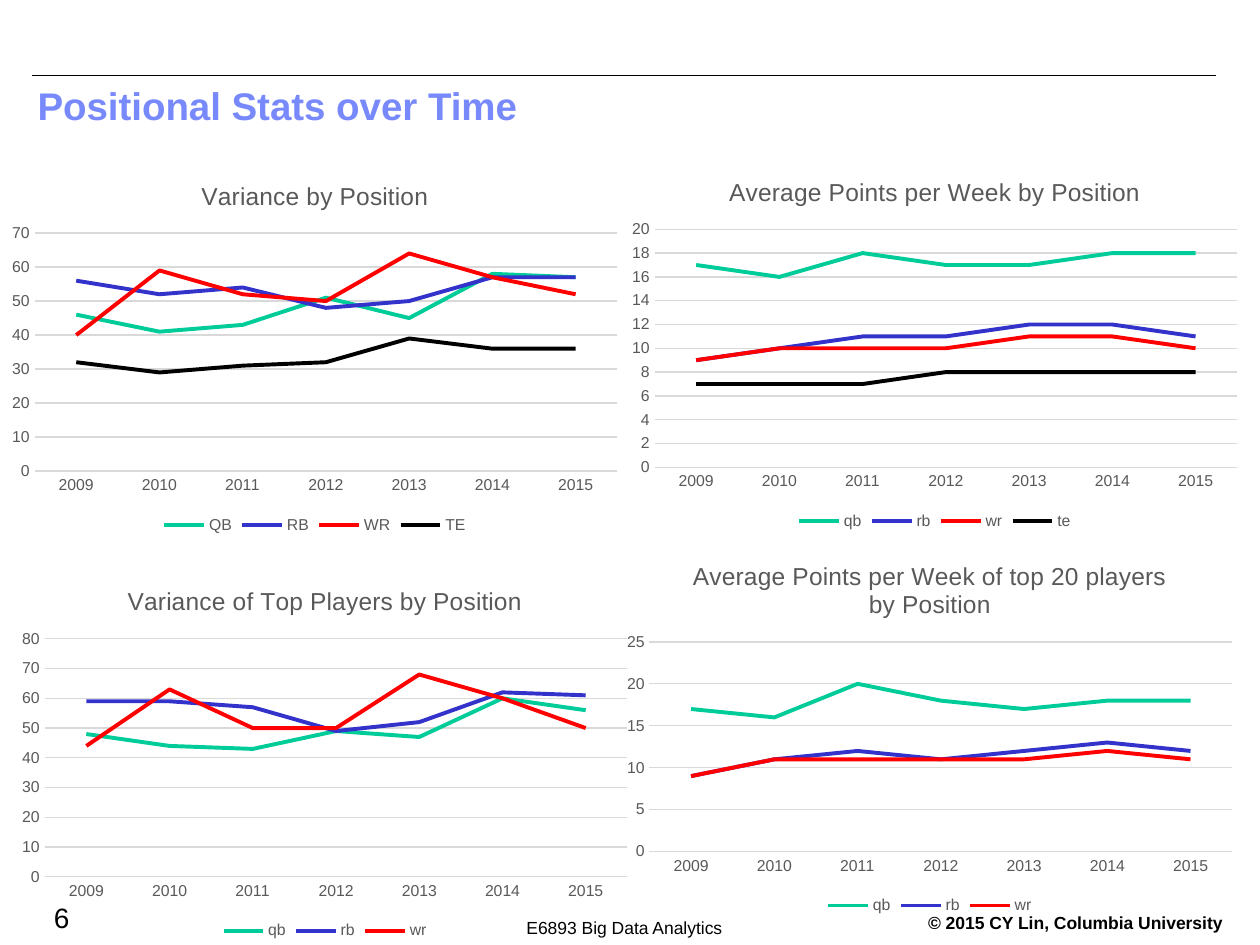
from dataclasses import dataclass

import pptx
import pptx.chart.data
import pptx.dml.color
import pptx.enum.chart
import pptx.enum.shapes
import pptx.enum.text
import pptx.oxml
import pptx.oxml.ns
import pptx.util

Inches, Pt = pptx.util.Inches, pptx.util.Pt
ALIGN = pptx.enum.text.PP_ALIGN
ANCHOR = pptx.enum.text.MSO_ANCHOR
TICK = pptx.enum.chart.XL_TICK_MARK

WIDTH, HEIGHT = 10, 7.5
FONT = "Arial"
COLORS = {
    "text": "000000", "title": "7889FB", "label": "595959", "grid": "D9D9D9",
    "qb": "00CC99", "rb": "3333CC", "wr": "FF0000", "te": "000000",
}
YEARS = [str(year) for year in range(2009, 2016)]
CHART_WIDTH, CHART_HEIGHT = WIDTH / 2, HEIGHT * 0.4
PLOT_LEFT, PLOT_RIGHT, PLOT_BOTTOM = 0.055, 0.98, 0.82


@dataclass
class Label:
    text: str
    left: float
    top: float
    width: float
    height: float
    size: float
    color: str = "text"
    bold: bool = False
    align: ALIGN = ALIGN.LEFT
    anchor: ANCHOR = ANCHOR.TOP
    wrap: bool = True
    spacing: float = 1.0


@dataclass
class LineChart:
    title: str
    left: float
    top: float
    maximum: int
    step: int
    series: dict[str, list[int]]
    plot_top: float = 0.19


LABELS = [
    Label("© 2015 CY Lin, Columbia University", 6.92, 7.19, 2.88, 0.31, 10,
          bold=True, align=ALIGN.RIGHT),
    Label("E6893 Big Data Analytics", 4.08, 7.23, 1.84, 0.27, 10, wrap=False),
    Label("Positional Stats over Time", 0.2, 0.65, 9.36, 0.41, 22, "title",
          bold=True, anchor=ANCHOR.MIDDLE, spacing=0.9),
    Label("6", 0.33, 7.1, 1.4, 0.4, 16),
]

CHARTS = [
    LineChart("Average Points per Week by Position", 4.92, 1.25, 20, 2, {
        "qb": [17, 16, 18, 17, 17, 18, 18],
        "rb": [9, 10, 11, 11, 12, 12, 11],
        "wr": [9, 10, 10, 10, 11, 11, 10],
        "te": [7, 7, 7, 8, 8, 8, 8],
    }),
    LineChart("Variance by Position", 0, 1.28, 70, 10, {
        "QB": [46, 41, 43, 51, 45, 58, 57],
        "RB": [56, 52, 54, 48, 50, 57, 57],
        "WR": [40, 59, 52, 50, 64, 57, 52],
        "TE": [32, 29, 31, 32, 39, 36, 36],
    }),
    LineChart("Variance of Top Players by Position", 0.08, 4.5, 80, 10, {
        "qb": [48, 44, 43, 49, 47, 60, 56],
        "rb": [59, 59, 57, 49, 52, 62, 61],
        "wr": [44, 63, 50, 50, 68, 60, 50],
    }),
    LineChart("Average Points per Week of top 20 players by Position",
              4.88, 4.3, 25, 5, {
                  "qb": [17, 16, 20, 18, 17, 18, 18],
                  "rb": [9, 11, 12, 11, 12, 13, 12],
                  "wr": [9, 11, 11, 11, 11, 12, 11],
              }, plot_top=0.265),
]


def rgb(name: str) -> pptx.dml.color.RGBColor:
    return pptx.dml.color.RGBColor.from_string(COLORS[name])


def set_all(obj, values: dict) -> None:
    for name, value in values.items():
        setattr(obj, name, value)


def set_font(font, size: float, color: str, bold: bool = False) -> None:
    set_all(font, {"name": FONT, "size": Pt(size), "bold": bold})
    font.color.rgb = rgb(color)


def set_line(line, color: str, width: float) -> None:
    line.color.rgb = rgb(color)
    line.width = Pt(width)


def add_label(slide, label: Label) -> None:
    box = (label.left, label.top, label.width, label.height)
    tf = slide.shapes.add_textbox(*map(Inches, box)).text_frame
    set_all(tf, {"word_wrap": label.wrap, "vertical_anchor": label.anchor})
    p = tf.paragraphs[0]
    set_all(p, {"alignment": label.align, "line_spacing": label.spacing})
    r = p.add_run()
    r.text = label.text
    set_font(r.font, label.size, label.color, label.bold)


def add_header_rule(slide) -> None:
    ends = map(Inches, (0.25, 0.6, 9.65, 0.6))
    rule = slide.shapes.add_connector(
        pptx.enum.shapes.MSO_CONNECTOR.STRAIGHT, *ends)
    set_line(rule.line, "text", 0.75)
    rule._element.spPr.append(pptx.oxml.parse_xml(
        f'<a:effectLst {pptx.oxml.ns.nsdecls("a")}/>'))


def place_plot(chart, top: float) -> None:
    """Fix the inner plot area, as shares of the chart's size."""
    plot_area = chart._chartSpace.chart.plotArea
    for old in plot_area.findall(pptx.oxml.ns.qn("c:layout")):
        plot_area.remove(old)
    shares = {"x": PLOT_LEFT, "y": top, "w": PLOT_RIGHT - PLOT_LEFT,
              "h": PLOT_BOTTOM - top}
    sizes = "".join(f'<c:{k} val="{v:.3f}"/>' for k, v in shares.items())
    plot_area.insert(0, pptx.oxml.parse_xml(
        f'<c:layout {pptx.oxml.ns.nsdecls("c")}><c:manualLayout>'
        '<c:layoutTarget val="inner"/><c:xMode val="edge"/>'
        f'<c:yMode val="edge"/>{sizes}</c:manualLayout></c:layout>'))


def add_line_chart(slide, item: LineChart) -> None:
    data = pptx.chart.data.CategoryChartData()
    data.categories = YEARS
    for name, values in item.series.items():
        data.add_series(name, values)
    box = (item.left, item.top, CHART_WIDTH, CHART_HEIGHT)
    chart = slide.shapes.add_chart(
        pptx.enum.chart.XL_CHART_TYPE.LINE, *map(Inches, box), data).chart
    set_font(chart.font, 10, "text")

    chart.has_title = True
    r = chart.chart_title.text_frame.paragraphs[0].add_run()
    r.text = item.title
    set_font(r.font, 14, "label")
    chart.chart_title.include_in_layout = False

    chart.has_legend = True
    set_all(chart.legend, {
        "position": pptx.enum.chart.XL_LEGEND_POSITION.BOTTOM,
        "include_in_layout": False})
    set_font(chart.legend.font, 9, "label")

    years, scale = chart.category_axis, chart.value_axis
    for axis in (years, scale):
        set_all(axis, {"major_tick_mark": TICK.NONE,
                       "minor_tick_mark": TICK.NONE})
        set_font(axis.tick_labels.font, 9, "label")
    set_line(years.format.line, "grid", 0.75)
    set_all(scale, {"minimum_scale": 0, "maximum_scale": item.maximum,
                    "major_unit": item.step, "has_major_gridlines": True})
    scale.format.line.fill.background()
    set_line(scale.major_gridlines.format.line, "grid", 0.75)

    plot = chart.plots[0]
    plot.vary_by_categories = False
    for series in plot.series:
        series.smooth = False
        series.marker.style = pptx.enum.chart.XL_MARKER_STYLE.NONE
        set_line(series.format.line, series.name.lower(), 2.25)
    place_plot(chart, item.plot_top)


def main() -> None:
    prs = pptx.Presentation()
    set_all(prs, {"slide_width": Inches(WIDTH), "slide_height": Inches(HEIGHT)})
    slide = prs.slides.add_slide(prs.slide_layouts[6])
    add_header_rule(slide)
    for label in LABELS:
        add_label(slide, label)
    for item in CHARTS:
        add_line_chart(slide, item)
    prs.save("out.pptx")


if __name__ == "__main__":
    main()
